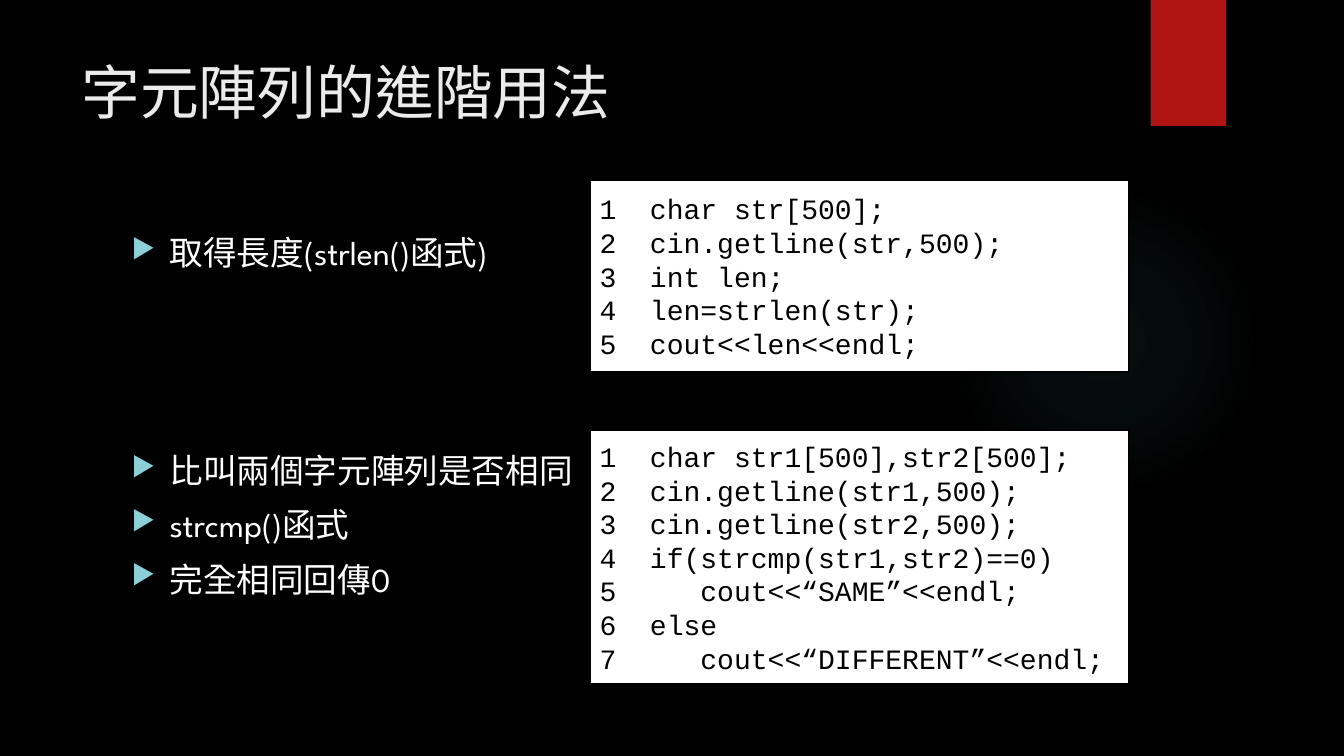
from lxml import etree
from pptx import Presentation
from pptx.dml import color
from pptx.enum import shapes, text
from pptx.oxml import ns
from pptx.util import Pt

BODY_FONT = "League Spartan"
CODE_FONT = "Courier New"
LENGTH_CODE = ["char str[500];", "cin.getline(str,500);", "int len;",
               "len=strlen(str);", "cout<<len<<endl;"]
COMPARE_CODE = ["char str1[500],str2[500];", "cin.getline(str1,500);",
                "cin.getline(str2,500);", "if(strcmp(str1,str2)==0)",
                "   cout<<“SAME”<<endl;", "else",
                "   cout<<“DIFFERENT”<<endl;"]


def rgb(value):
    """Turn a hex string into a colour."""
    return color.RGBColor.from_string(value)


def add_xml(parent, tag, **attributes):
    """Append a DrawingML element and return it."""
    return etree.SubElement(parent, ns.qn("a:" + tag), attributes)


def add_run(p, words, size, font, ink, lang):
    """Add one formatted run to a paragraph."""
    r = p.add_run()
    r.text = words
    r.font.size = Pt(size)
    r.font.name = font
    r.font.color.rgb = rgb(ink)
    r.font.language_id = None
    r.font._element.set("lang", lang)


def set_hanging(p, indent):
    """Give a paragraph a hanging indent and return its properties."""
    pPr = p._p.get_or_add_pPr()
    pPr.set("marL", str(Pt(indent)))
    pPr.set("indent", str(-Pt(indent)))
    return pPr


def add_text_box(s, left, top, width, height):
    """Add a wrapping text box and return its text frame."""
    tf = s.shapes.add_textbox(Pt(left), Pt(top), Pt(width), Pt(height)).text_frame
    tf.word_wrap = True
    return tf


def add_rectangle(s, left, top, width, height, fill):
    """Add a plain filled rectangle."""
    sp = s.shapes.add_shape(shapes.MSO_SHAPE.RECTANGLE,
                            Pt(left), Pt(top), Pt(width), Pt(height))
    sp.shadow.inherit = False
    sp.fill.solid()
    sp.fill.fore_color.rgb = rgb(fill)
    sp.line.fill.background()
    return sp


def add_glow(s, left, top, size):
    """Add a faint circle that fades out from its centre."""
    sp = s.shapes.add_shape(shapes.MSO_SHAPE.OVAL,
                            Pt(left), Pt(top), Pt(size), Pt(size))
    sp.shadow.inherit = False
    sp.line.fill.background()
    sp.fill.gradient()
    grad = sp._element.spPr.find(ns.qn("a:gradFill"))
    for child in list(grad):
        grad.remove(child)
    stops = add_xml(grad, "gsLst")
    for position, alpha in [(0, 7), (36, 6), (69, 0)]:
        stop = add_xml(stops, "gs", pos=str(position * 1000))
        tint = add_xml(stop, "srgbClr", val="50B9C1")
        add_xml(tint, "alpha", val=str(alpha * 1000))
    path = add_xml(grad, "path", path="circle")
    add_xml(path, "fillToRect", l="50000", t="50000", r="50000", b="50000")


def add_bullets(s, top, height, items):
    """Add a list with triangle bullets."""
    tf = add_text_box(s, 87, top, 336, height)
    for i, item in enumerate(items):
        p = tf.paragraphs[0] if i == 0 else tf.add_paragraph()
        p.space_before = Pt(10 if i else 0)
        pPr = set_hanging(p, 27)
        add_xml(add_xml(pPr, "buClr"), "srgbClr", val="8AD0D6")
        add_xml(pPr, "buSzPct", val="80000")
        add_xml(pPr, "buChar", char="▶")
        add_run(p, item, 24, BODY_FONT, "FFFFFF", "zh-TW")


def add_code(s, top, height, lines):
    """Add a white panel of numbered code lines."""
    sp = add_rectangle(s, 421.2, top, 385.2, height, "FFFFFF")
    sp.line.color.rgb = rgb("000000")
    sp.line.width = Pt(1.5)
    tf = sp.text_frame
    tf.word_wrap = True
    tf.vertical_anchor = text.MSO_ANCHOR.MIDDLE
    for i, line in enumerate(lines):
        p = tf.paragraphs[0] if i == 0 else tf.add_paragraph()
        p.alignment = text.PP_ALIGN.LEFT
        p.line_spacing = Pt(24)
        pPr = set_hanging(p, 36)
        add_xml(pPr, "buFont", typeface=CODE_FONT)
        add_xml(pPr, "buAutoNum", type="arabicPlain")
        add_run(p, line, 20, CODE_FONT, "000000", "en-US")


def main():
    """Build and save the slide."""
    prs = Presentation()
    prs.slide_width, prs.slide_height = Pt(960), Pt(540)
    s = prs.slides.add_slide(prs.slide_layouts[6])
    s.background.fill.solid()
    s.background.fill.fore_color.rgb = rgb("000000")
    add_glow(s, 677.5, 131.8, 221.8)
    add_rectangle(s, 821.9, 0, 54, 90, "B01513")
    title = add_text_box(s, 51, 36, 741, 110)
    add_run(title.paragraphs[0], "字元陣列的進階用法", 42, BODY_FONT,
            "EBEBEB", "zh-TW")
    add_bullets(s, 162, 40, ["取得長度(strlen()函式)"])
    add_bullets(s, 317.7, 120,
                ["比叫兩個字元陣列是否相同", "strcmp()函式", "完全相同回傳0"])
    add_code(s, 128.5, 137.2, LENGTH_CODE)
    add_code(s, 306.9, 182, COMPARE_CODE)
    prs.save("out.pptx")


if __name__ == "__main__":
    main()
